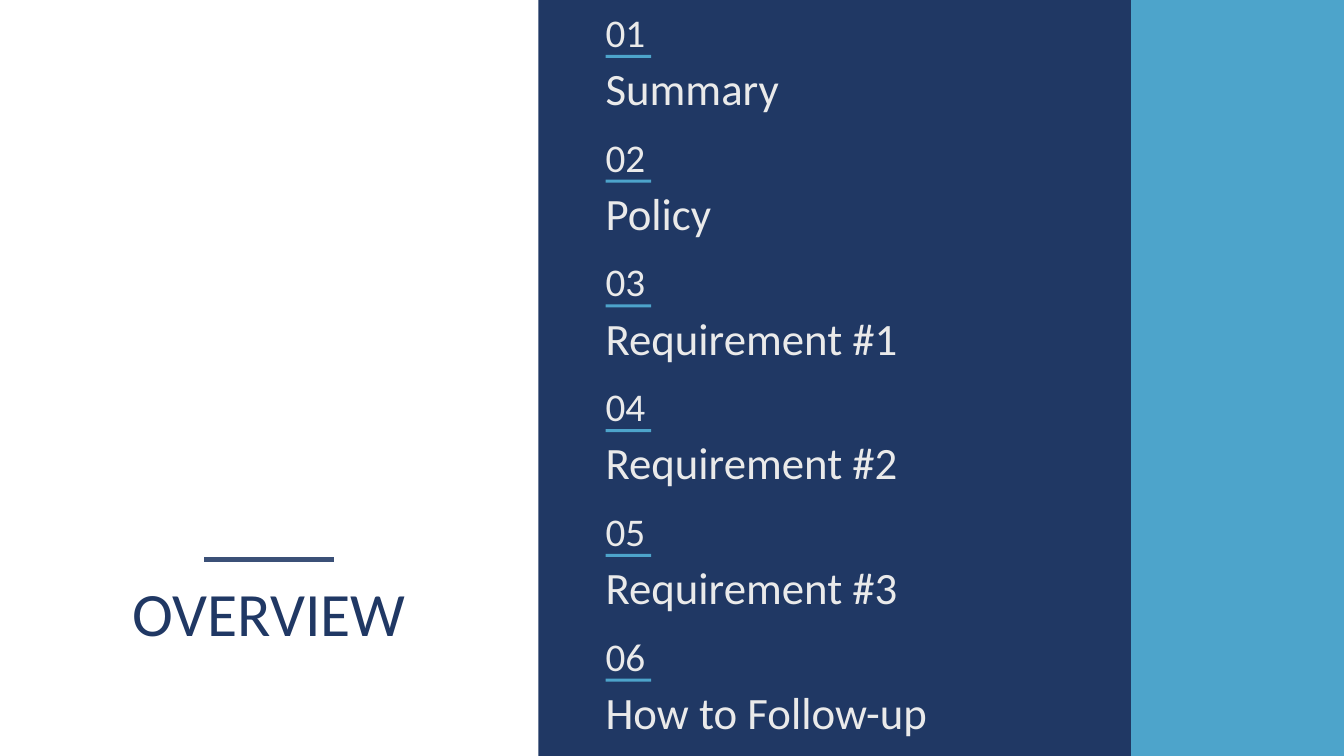
from lxml import etree
from pptx import Presentation
from pptx.dml.color import RGBColor
from pptx.enum.shapes import MSO_CONNECTOR, MSO_SHAPE
from pptx.enum.text import MSO_ANCHOR, MSO_AUTO_SIZE, PP_ALIGN
from pptx.oxml.ns import qn
from pptx.util import Inches, Pt

RECTANGLE = MSO_SHAPE.RECTANGLE
STRAIGHT = MSO_CONNECTOR.STRAIGHT
MIDDLE = MSO_ANCHOR.MIDDLE
FIT_TEXT = MSO_AUTO_SIZE.SHAPE_TO_FIT_TEXT
LEFT, CENTER = PP_ALIGN.LEFT, PP_ALIGN.CENTER

TITLE_ONLY = 5
FONT = "Calibri"
COLORS = {
    "navy": "203864",
    "rule": "3B5077",
    "sky": "4DA4CB",
    "light": "EAEAEA",
    "white": "FFFFFF",
}
TOPICS = ["Summary", "Policy", "Requirement #1", "Requirement #2",
          "Requirement #3", "How to Follow-up"]


def color(key):
    return RGBColor.from_string(COLORS[key])


def write(frame, text, *, size, ink, align=LEFT, wrap=True):
    """Fill a text frame with one formatted line, without insets."""
    frame.margin_left = frame.margin_right = 0
    frame.margin_top = frame.margin_bottom = 0
    frame.vertical_anchor = MIDDLE
    frame.word_wrap = wrap
    frame.auto_size = FIT_TEXT
    line = frame.paragraphs[0]
    line.alignment = align
    run = line.add_run()
    run.text = text
    run.font.name = FONT
    run.font.size = Pt(size)
    run.font.color.rgb = color(ink)


class Deck:
    """One slide on a grid of 100 columns by 100 rows."""

    def __init__(self, width=13.333, height=7.5):
        self.file = Presentation()
        self.file.slide_width = Inches(width)
        self.file.slide_height = Inches(height)
        self.slide = self.file.slides.add_slide(
            self.file.slide_layouts[TITLE_ONLY])
        self.slide.background.fill.solid()
        self.slide.background.fill.fore_color.rgb = color("white")

    def x(self, columns):
        return round(self.file.slide_width * columns / 100)

    def y(self, rows):
        return round(self.file.slide_height * rows / 100)

    def box(self, left, top, width, height):
        return self.x(left), self.y(top), self.x(width), self.y(height)

    def title(self, text, area, **style):
        heading = self.slide.shapes.title
        heading.left, heading.top, heading.width, heading.height = self.box(*area)
        write(heading.text_frame, text, **style)

    def block(self, area, fill, parent=None):
        shapes = (parent or self.slide).shapes
        block = shapes.add_shape(RECTANGLE, *self.box(*area))
        block.shadow.inherit = False
        block.fill.solid()
        block.fill.fore_color.rgb = color(fill)
        block.line.fill.background()

    def label(self, text, area, parent, **style):
        label = parent.shapes.add_textbox(*self.box(*area))
        write(label.text_frame, text, **style)

    def rule(self, start, end, row, ink, weight):
        rule = self.slide.shapes.add_connector(
            STRAIGHT, self.x(start), self.y(row), self.x(end), self.y(row))
        rule.line.color.rgb = color(ink)
        rule.line.width = Pt(weight)
        etree.SubElement(rule._element.spPr, qn("a:effectLst"))

    def topic(self, number, name, left, top):
        """A numbered entry: number, short bar, name."""
        entry = self.slide.shapes.add_group_shape()
        self.label(name, (left, top + 6.95, 36.23, 7.2), entry,
                   size=32, ink="light")
        self.label(f"{number:02}", (left, top, 3, 6.27), entry,
                   size=28, ink="light", wrap=False)
        self.block((left, top + 6.2, 3.38, 0.4), "sky", entry)


def main():
    deck = Deck()

    # Colour panels
    deck.block((78.3, 0, 21.7, 100), "sky")
    deck.block((40.05, 0, 44.1, 100), "navy")

    # Heading with its rule
    deck.title("OVERVIEW", (0, 76, 40.05, 9.87),
               size=44, ink="navy", align=CENTER)
    deck.rule(15.2, 24.85, 74, "rule", 3)

    # Agenda at equal steps
    first_row, step = 1.07, 16.5
    for index, name in enumerate(TOPICS):
        deck.topic(index + 1, name, 45.06, first_row + index * step)

    deck.file.save("out.pptx")


if __name__ == "__main__":
    main()
